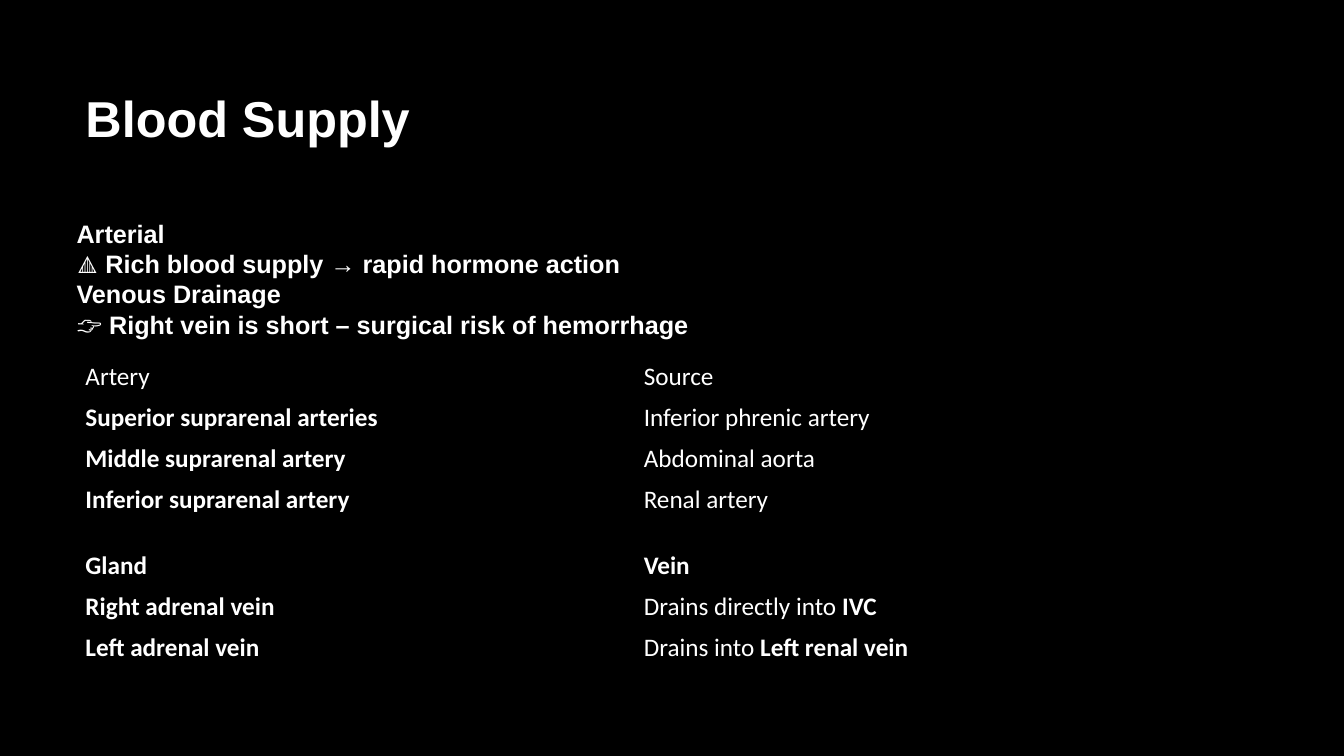
import pptx
import pptx.dml.color
import pptx.enum.text
import pptx.util

Cm = pptx.util.Cm
MIDDLE = pptx.enum.text.MSO_ANCHOR.MIDDLE
LEFT = pptx.enum.text.PP_ALIGN.LEFT
NO_AUTOFIT = pptx.enum.text.MSO_AUTO_SIZE.NONE
PLAIN_TABLE_STYLE = "{2D5ABB26-0587-4C30-8999-92F81FD0307C}"
BLACK, WHITE = "000000", "FFFFFF"
MARGIN, CONTENT_WIDTH, ROW_HEIGHT = 1.9, 28.14, 1.02

TITLE_FORMAT = {"name": "Arial", "size": pptx.util.Pt(36)}
NOTE_FORMAT = {"name": "Arial", "size": pptx.util.Pt(18)}
CELL_FORMAT = {"name": "Calibri", "size": pptx.util.Pt(18)}

SUMMARY = [
    [("Arterial", True)],
    [("🔺 ", False), ("Rich blood supply → rapid hormone action", True)],
    [("Venous Drainage", True)],
    [("👉 ", False), ("Right vein is short – surgical risk of hemorrhage", True)],
]
ARTERIES = [
    [[("Artery", False)], [("Source", False)]],
    [[("Superior suprarenal arteries", True)], [("Inferior phrenic artery", False)]],
    [[("Middle suprarenal artery", True)], [("Abdominal aorta", False)]],
    [[("Inferior suprarenal artery", True)], [("Renal artery", False)]],
]
VEINS = [
    [[("Gland", True)], [("Vein", True)]],
    [[("Right adrenal vein", True)], [("Drains directly into ", False), ("IVC", True)]],
    [[("Left adrenal vein", True)], [("Drains into ", False), ("Left renal vein", True)]],
]


def paint(color_format, color):
    """Set a fill or font colour from a hex string."""
    color_format.rgb = pptx.dml.color.RGBColor.from_string(color)


def set_values(target, values):
    """Set each attribute of the target from a dict."""
    for name, value in values.items():
        setattr(target, name, value)


def write_spans(para, spans, font_format):
    """Fill a left-aligned paragraph with (text, bold) spans."""
    para.alignment = LEFT
    for text, bold in spans:
        span = para.add_run()
        span.text = text
        set_values(span.font, {**font_format, "bold": bold})
        paint(span.font.color, WHITE)


def place_title(page, box, text):
    """Move the title placeholder to the box and write its text."""
    title = page.shapes.title
    set_values(title, dict(zip(("left", "top", "width", "height"), map(Cm, box))))
    set_values(title.text_frame, {
        "auto_size": NO_AUTOFIT, "vertical_anchor": MIDDLE, "margin_bottom": Cm(1.45)})
    para = title.text_frame.paragraphs[0]
    para.line_spacing = 0.9
    write_spans(para, [(text, True)], TITLE_FORMAT)


def add_summary(page, box, lines):
    """Add the text box with one paragraph per line."""
    frame = page.shapes.add_textbox(*map(Cm, box)).text_frame
    set_values(frame, {"word_wrap": True, "vertical_anchor": MIDDLE})
    for index, spans in enumerate(lines):
        para = frame.add_paragraph() if index else frame.paragraphs[0]
        write_spans(para, spans, NOTE_FORMAT)


def add_vessel_table(page, box, rows):
    """Add a plain table whose rows and columns share the box equally."""
    frame = page.shapes.add_table(len(rows), len(rows[0]), *map(Cm, box))
    table = frame.table
    set_values(table, {"first_row": False, "horz_banding": False})
    table._tbl.tblPr[0].text = PLAIN_TABLE_STYLE
    for row_index, row in enumerate(rows):
        for column_index, spans in enumerate(row):
            cell = table.cell(row_index, column_index)
            cell.vertical_anchor = MIDDLE
            cell.fill.solid()
            paint(cell.fill.fore_color, BLACK)
            write_spans(cell.text_frame.paragraphs[0], spans, CELL_FORMAT)


def build_blood_supply(page):
    """Build the blood supply slide from its regions."""
    page.background.fill.solid()
    paint(page.background.fill.fore_color, BLACK)
    place_title(page, (MARGIN, 1.7, CONTENT_WIDTH, 4.04), "Blood Supply")
    for top, rows in ((8.99, ARTERIES), (13.74, VEINS)):
        box = (MARGIN, top, CONTENT_WIDTH, ROW_HEIGHT * len(rows))
        add_vessel_table(page, box, rows)
    add_summary(page, (1.68, 5.36, 16.33, 3.33), SUMMARY)


def main():
    """Create the deck and save it."""
    deck = pptx.Presentation()
    set_values(deck, {"slide_width": Cm(33.87), "slide_height": Cm(19.05)})
    build_blood_supply(deck.slides.add_slide(deck.slide_layouts[5]))
    deck.save("out.pptx")


if __name__ == "__main__":
    main()
